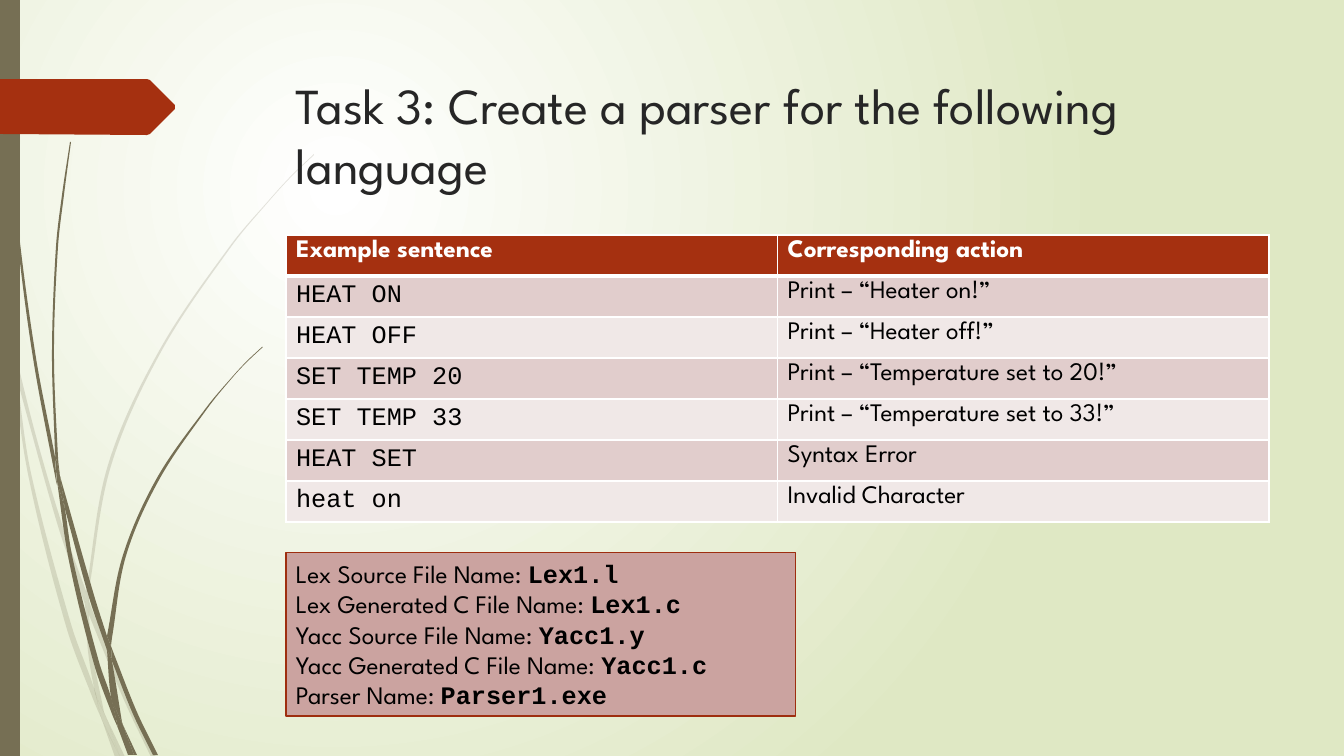
"""Build the Task 3 slide: a parser's example sentences, actions and file names."""
import pptx
import pptx.util
import pptx.dml.color
import pptx.enum.shapes
import pptx.enum.text
import pptx.oxml
import pptx.oxml.ns

RGB = pptx.dml.color.RGBColor
RUST, EDGE, OLIVE = RGB(0xA5, 0x30, 0x10), RGB(0x9E, 0x2E, 0x0F), RGB(0x76, 0x6F, 0x54)
ROSE, PINK, PALE = RGB(0xCB, 0xA3, 0xA0), RGB(0xE1, 0xCD, 0xCC), RGB(0xF0, 0xE8, 0xE7)
INK, BLACK, WHITE = RGB(0x26, 0x26, 0x26), RGB(0, 0, 0), RGB(255, 255, 255)
LIME = RGB(0xDF, 0xE8, 0xC4)
SANS, MONO = "League Spartan", "Courier New"

TITLE = "Task 3: Create a parser for the following language"
ROWS = [
    ("Example sentence", "Corresponding action"),
    ("HEAT ON", "Print – “Heater on!”"),
    ("HEAT OFF", "Print – “Heater off!”"),
    ("SET TEMP 20", "Print – “Temperature set to 20!”"),
    ("SET TEMP 33", "Print – “Temperature set to 33!”"),
    ("HEAT SET", "Syntax Error"),
    ("heat on", "Invalid Character"),
]
FILES = [
    ("Lex Source File Name: ", "Lex1.l"),
    ("Lex Generated C File Name: ", "Lex1.c"),
    ("Yacc Source File Name: ", "Yacc1.y"),
    ("Yacc Generated C File Name: ", "Yacc1.c"),
    ("Parser Name: ", "Parser1.exe"),
]
FLAG = [(0, 79), (147, 79), (150, 80), (175, 105), (175, 109), (150, 134), (147, 135), (0, 134)]
FAINT = [
    [[(11, 353), (9, 325), (0, 284)], [(0, 301), (10, 347), (11, 353)]],
    [[(14, 348), (36, 436), (62, 524), (86, 591)], [(85, 604), (58, 526), (17, 379)]],
    [[(89, 601), (93, 612), (128, 698), (156, 757)], [(151, 757), (124, 700), (89, 615)]],
    [[(120, 757), (125, 757)], [(106, 717)]],
    [[(11, 353), (28, 474), (66, 626), (93, 699), (102, 720)],
     [(100, 713), (94, 688), (71, 624), (31, 473), (17, 379)]],
    [[(85, 604), (88, 651), (94, 688), (97, 698), (106, 717)],
     [(104, 712), (92, 651), (89, 615), (89, 613)]],
    [[(89, 589), (111, 466), (161, 352), (231, 247), (270, 200), (292, 176), (314, 155)],
     [(314, 154), (291, 176), (270, 199), (230, 246), (159, 351), (108, 465), (86, 591)],
     [(89, 601)]],
    [[(102, 720), (115, 757)], [(120, 757)]],
    [[(89, 613), (89, 615)], [(89, 601), (86, 591)], [(85, 604)]],
    [[(97, 698), (94, 688)], [(100, 713), (102, 720), (120, 757)], [(106, 717)]],
]
STRONG = [
    [[(3, 0), (4, 48), (7, 111), (17, 235), (33, 358), (56, 481), (57, 485)],
     [(55, 461), (55, 457), (36, 358), (19, 234), (8, 110), (5, 48), (4, 0)]],
    [[(60, 476), (94, 595), (107, 636)], [(107, 650), (89, 597), (65, 509)]],
    [[(111, 646), (114, 654), (137, 712), (158, 755)], [(153, 755), (133, 714), (112, 661)]],
    [[(57, 481), (69, 561), (94, 664), (112, 714), (118, 728)],
     [(117, 723), (111, 697), (99, 662), (73, 560), (65, 509)]],
    [[(60, 476), (58, 457), (54, 352), (58, 247), (64, 195), (71, 142)],
     [(70, 142), (62, 195), (56, 247), (52, 352), (55, 453)]],
    [[(123, 725), (134, 755)], [(137, 755)]],
    [[(55, 453), (60, 476), (65, 509)], [(57, 481), (55, 457)]],
    [[(112, 638), (126, 556), (159, 480), (207, 409), (233, 377), (247, 362), (263, 347)],
     [(262, 347), (247, 361), (233, 376), (206, 408), (157, 478), (123, 555), (107, 636)],
     [(111, 646)]],
    [[(118, 728), (128, 755)], [(132, 755)]],
    [[(107, 650), (111, 697), (117, 712), (123, 725)], [(122, 722), (112, 661), (110, 656)]],
    [[(107, 650), (110, 656), (112, 661)], [(111, 646), (107, 636)]],
    [[(117, 712), (111, 697)], [(117, 723), (118, 728), (131, 755)], [(134, 755), (123, 725)]],
]
UNIT = 914400 / 100.8
FORMS = pptx.enum.shapes.MSO_SHAPE
tag = pptx.oxml.ns.qn


def emu(*nums):
    return [round(n * UNIT) for n in nums]


def curve(blade):
    """Return the start, then two controls and an end for each stretch of a blade."""
    out = []
    for side in blade:
        pts = [complex(*p) for p in side]
        ends = [pts[0], *pts, pts[-1]]
        dirs = [(c - a) / (abs(c - a) or 1) for a, c in zip(ends, ends[2:])]
        out += [out[-1], pts[0], pts[0]] if out else [pts[0]]
        for a, b, u, v in zip(pts, pts[1:], dirs, dirs[1:]):
            arm = abs(b - a) / 3
            out += [a + u * arm, b - v * arm, b]
    return [(p.real, p.imag) for p in out]


def paint(shape, color, edge=None):
    shape.shadow.inherit = False
    shape.fill.solid()
    shape.fill.fore_color.rgb = color
    if edge is None:
        shape.line.fill.background()
    else:
        shape.line.color.rgb = edge
        shape.line.width = pptx.util.Pt(0.75)


def outline(pts, color):
    pen = slide.shapes.build_freeform(*emu(*pts[0]))
    pen.add_line_segments([emu(*p) for p in pts[1:]], close=True)
    shape = pen.convert_to_shape()
    paint(shape, color)
    return shape


def bend(shape):
    """Join each three straight steps of an outline into one cubic curve."""
    steps = shape._element.findall(".//" + tag("a:lnTo"))
    for trio in zip(steps[::3], steps[1::3], steps[2::3]):
        cubic = node("<a:cubicBezTo />")
        trio[0].addprevious(cubic)
        for step in trio:
            cubic.append(step[0])
            step.getparent().remove(step)


def style(font, face, color, size=18, bold=False):
    font.name, font.size, font.bold = face, pptx.util.Pt(size), bold
    font.color.rgb = color


def node(text):
    return pptx.oxml.parse_xml(text.replace(" ", f" {pptx.oxml.ns.nsdecls('a')} ", 1))


def border(cell, heavy):
    props = cell._tc.get_or_add_tcPr()
    for i, side in enumerate(("lnL", "lnR", "lnT", "lnB")):
        width = 38100 if side == heavy else 12700
        props.insert(i, node(f'<a:{side} w="{width}"><a:solidFill><a:srgbClr val="{WHITE}"/>'
                             f'</a:solidFill></a:{side}>'))


deck = pptx.Presentation()
deck.slide_width, deck.slide_height = emu(1344, 756)
slide = deck.slides.add_slide(deck.slide_layouts[6])

back = slide.background.fill
back.gradient()
for stop, color in zip(back.gradient_stops, (WHITE, LIME)):
    stop.color.rgb = color
grad = slide.background._cSld.find(".//" + tag("a:gradFill"))
grad.replace(grad.find(tag("a:lin")), node(
    '<a:path path="circle"><a:fillToRect l="50000" t="50000" r="100000" b="100000"/></a:path>'))

for blades, alpha in ((FAINT, 20), (STRONG, 100)):
    for blade in blades:
        leaf = outline(curve(blade), OLIVE)
        bend(leaf)
        if alpha < 100:
            tint = leaf._element.spPr.find(".//" + tag("a:srgbClr"))
            tint.append(node(f'<a:alpha val="{alpha * 1000}"/>'))

paint(slide.shapes.add_shape(FORMS.RECTANGLE, *emu(0, 0, 20, 756)), OLIVE)
outline(FLAG, RUST)

head = slide.shapes.add_textbox(*emu(286, 69, 983, 141)).text_frame
head.word_wrap = True
head.text = TITLE
style(head.paragraphs[0].font, SANS, INK, 36)

grid = slide.shapes.add_table(len(ROWS), 2, *emu(286, 235, 983, 287)).table
for r, row in enumerate(ROWS):
    for c, text in enumerate(row):
        cell = grid.cell(r, c)
        cell.text = text
        cell.fill.solid()
        cell.fill.fore_color.rgb = RUST if r == 0 else (PALE, PINK)[r % 2]
        border(cell, ("lnB", "lnT")[r] if r < 2 else None)
        style(cell.text_frame.paragraphs[0].font, MONO if r and c == 0 else SANS,
              BLACK if r else WHITE, bold=r == 0)

box = slide.shapes.add_shape(FORMS.RECTANGLE, *emu(286, 552, 510, 164))
paint(box, ROSE, EDGE)
frame = box.text_frame
frame.word_wrap = False
frame.vertical_anchor = pptx.enum.text.MSO_ANCHOR.MIDDLE
for i, (label, name) in enumerate(FILES):
    para = frame.add_paragraph() if i else frame.paragraphs[0]
    para.alignment = pptx.enum.text.PP_ALIGN.LEFT
    for text, face in ((label, SANS), (name, MONO)):
        run = para.add_run()
        run.text = text
        style(run.font, face, BLACK, bold=face == MONO)

deck.save("out.pptx")
